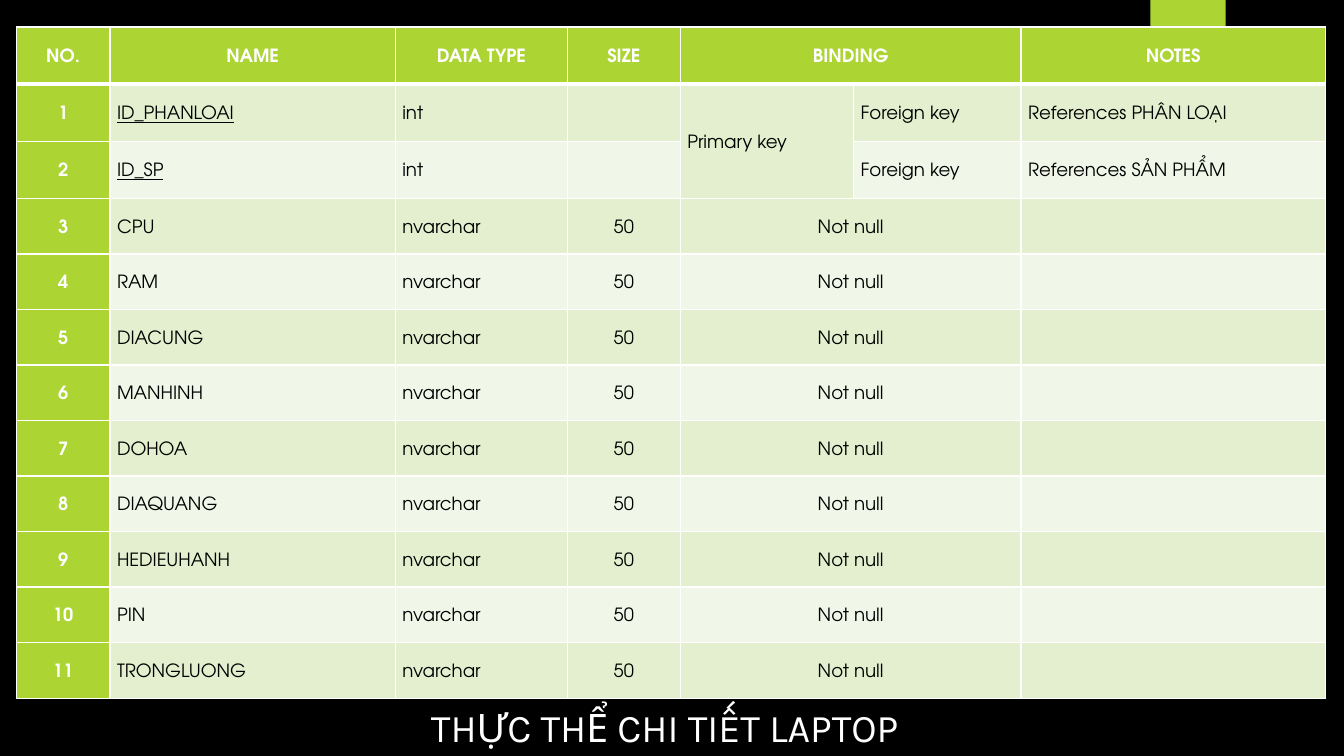
import dataclasses

import lxml.etree
import pptx
import pptx.dml.color
import pptx.enum.shapes
import pptx.enum.text
import pptx.oxml.ns
import pptx.util

Cm = pptx.util.Cm
Pt = pptx.util.Pt
Align = pptx.enum.text.PP_ALIGN
Anchor = pptx.enum.text.MSO_ANCHOR


@dataclasses.dataclass(frozen=True)
class Theme:
    background: str = "000000"
    accent: str = "ACD433"
    light: str = "FFFFFF"
    ink: str = "000000"
    bands: tuple = ("E3EFCE", "F1F7E8")
    table_font: str = "TeX Gyre Adventor"
    caption_font: str = "Karla"
    table_size: int = 13
    caption_size: int = 28
    rule: int = 1
    header_rule: int = 3


HEADINGS = ("NO.", "NAME", "DATA TYPE", "SIZE", "BINDING", "", "NOTES")
KEYS = (("ID_PHANLOAI", "Primary key", "References PHÂN LOẠI"),
        ("ID_SP", "", "References SẢN PHẨM"))
SPECS = ("CPU", "RAM", "DIACUNG", "MANHINH", "DOHOA", "DIAQUANG",
         "HEDIEUHANH", "PIN", "TRONGLUONG")
COLUMN_WIDTHS = (2.36, 7.19, 4.34, 2.84, 4.37, 4.22, 7.67)
KEY_ROW_HEIGHT, SPEC_ROW_HEIGHT = 1.44, 1.4
NAME_COLUMN = 1


def rgb(color):
    return pptx.dml.color.RGBColor.from_string(color)


def write(frame, text, *, font, size, color, bold=False, underline=False,
          align=Align.LEFT, spacing=None, before=0, after=0):
    paragraph = frame.paragraphs[0]
    paragraph.alignment = align
    paragraph.line_spacing = spacing
    paragraph.space_before = Pt(before)
    paragraph.space_after = Pt(after)
    run = paragraph.add_run()
    run.text = text
    run.font.name = font
    run.font.size = Pt(size)
    run.font.color.rgb = rgb(color)
    run.font.bold = bold
    run.font.underline = underline


class EntitySlide:
    def __init__(self, deck, theme):
        self.theme = theme
        self.slide = deck.slides.add_slide(deck.slide_layouts[6])
        backdrop = self.slide.background.fill
        backdrop.solid()
        backdrop.fore_color.rgb = rgb(theme.background)

    def tab(self, left, top, width, height):
        tab = self.slide.shapes.add_shape(
            pptx.enum.shapes.MSO_SHAPE.RECTANGLE, Cm(left), Cm(top), Cm(width), Cm(height))
        tab.shadow.inherit = False
        tab.fill.solid()
        tab.fill.fore_color.rgb = rgb(self.theme.accent)
        tab.line.fill.background()

    def caption(self, text, left, top, width, height):
        frame = self.slide.shapes.add_textbox(
            Cm(left), Cm(top), Cm(width), Cm(height)).text_frame
        frame.word_wrap = True
        frame.auto_size = pptx.enum.text.MSO_AUTO_SIZE.SHAPE_TO_FIT_TEXT
        write(frame, text, font=self.theme.caption_font, size=self.theme.caption_size,
              color=self.theme.light, align=Align.CENTER)

    def borders(self, cell, row):
        qn = pptx.oxml.ns.qn
        properties = cell._tc.get_or_add_tcPr()
        thick_side = {0: "B", 1: "T"}.get(row)
        for side in "LRTB":
            weight = self.theme.header_rule if side == thick_side else self.theme.rule
            line = lxml.etree.SubElement(properties, qn(f"a:ln{side}"), w=str(Pt(weight)))
            paint = lxml.etree.SubElement(line, qn("a:solidFill"))
            lxml.etree.SubElement(paint, qn("a:srgbClr"), val=self.theme.light)

    def cell(self, cell, text, row, column, *, centered, underline):
        theme = self.theme
        strong = row == 0 or column == 0
        self.borders(cell, row)
        cell.fill.solid()
        cell.fill.fore_color.rgb = rgb(theme.accent if strong else theme.bands[(row - 1) % 2])
        cell.vertical_anchor = Anchor.MIDDLE
        cell.margin_left = cell.margin_right = Cm(0.18)
        cell.margin_top = cell.margin_bottom = 0
        if text:
            write(cell.text_frame, text, font=theme.table_font, size=theme.table_size,
                  color=theme.light if strong else theme.ink, bold=strong,
                  underline=underline, align=Align.CENTER if centered else Align.LEFT,
                  spacing=1.25, before=6, after=8)

    def table(self, rows, left, top, widths, heights, merges):
        grid = self.slide.shapes.add_table(
            len(rows), len(widths), Cm(left), Cm(top), Cm(sum(widths)), Cm(sum(heights))).table
        grid.horz_banding = False
        for column, width in zip(grid.columns, widths):
            column.width = Cm(width)
        for line, height in zip(grid.rows, heights):
            line.height = Cm(height)
        for first, last in merges:
            grid.cell(*first).merge(grid.cell(*last))
        for row, texts in enumerate(rows):
            for column, text in enumerate(texts):
                self.cell(grid.cell(row, column), text, row, column,
                          centered=row == 0 or column == 0 or text in ("50", "Not null"),
                          underline=column == NAME_COLUMN and 0 < row <= len(KEYS))


def main():
    deck = pptx.Presentation()
    deck.slide_width, deck.slide_height = Cm(33.87), Cm(19.05)
    entity = EntitySlide(deck, Theme())

    fields = [(name, "int", "", binding, "Foreign key", notes) for name, binding, notes in KEYS]
    fields += [(name, "nvarchar", "50", "Not null", "", "") for name in SPECS]
    rows = [HEADINGS] + [(str(number), *field) for number, field in enumerate(fields, 1)]
    key_rows = 1 + len(KEYS)
    heights = [KEY_ROW_HEIGHT] * key_rows + [SPEC_ROW_HEIGHT] * len(SPECS)
    binding = HEADINGS.index("BINDING")
    merges = [((row, binding), (row, binding + 1)) for row in (0, *range(key_rows, len(rows)))]
    merges.append(((1, binding), (len(KEYS), binding)))

    entity.tab(28.99, 0, 1.9, 3.18)
    entity.caption("THỰC THỂ CHI TIẾT LAPTOP", 10.08, 17.6, 13.34, 1.45)
    entity.table(rows, 0.41, 0.68, COLUMN_WIDTHS, heights, merges)
    deck.save("out.pptx")


if __name__ == "__main__":
    main()
